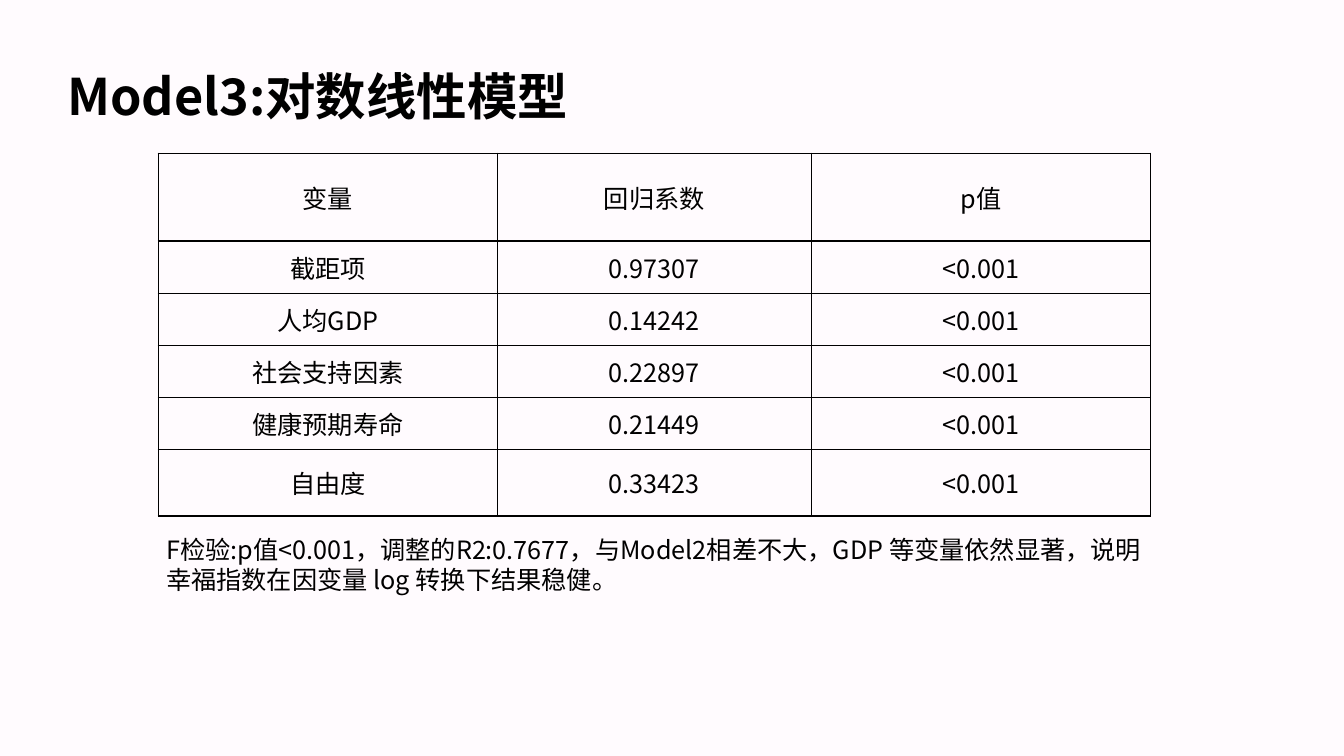
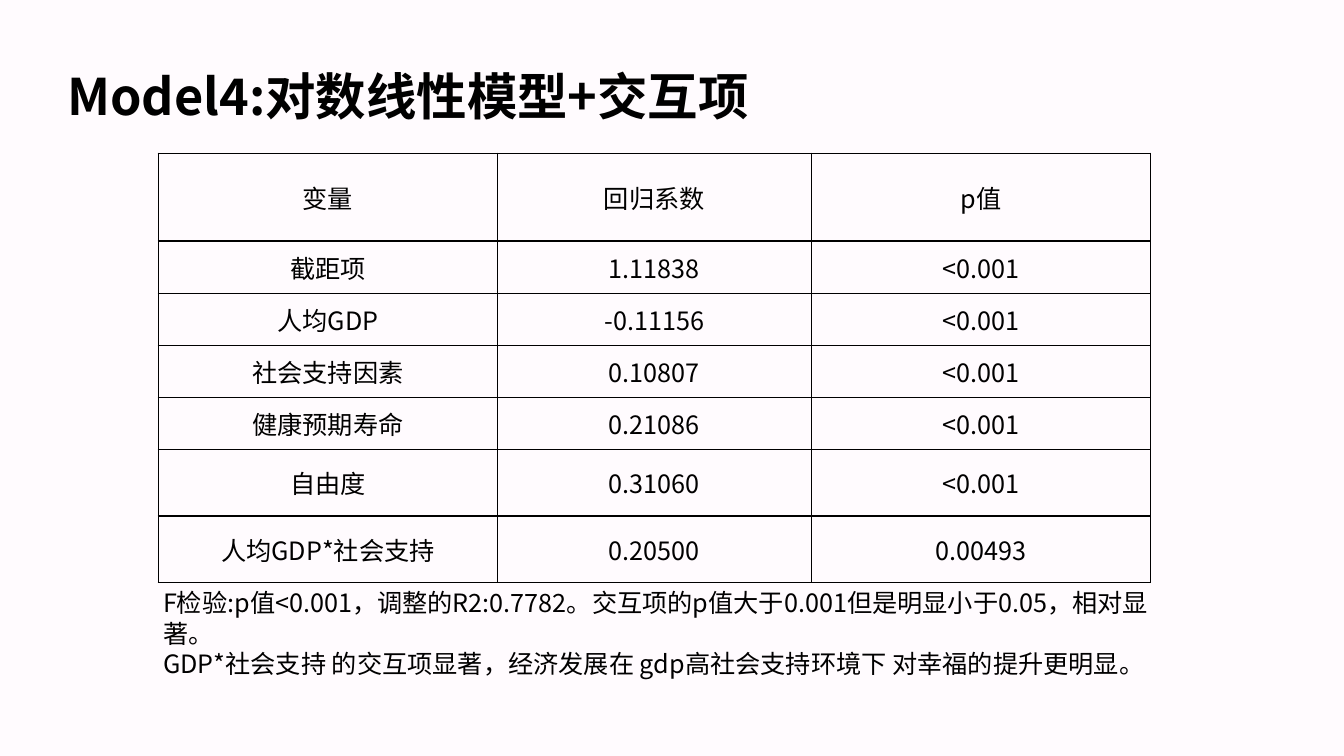
from dataclasses import dataclass

from lxml.etree import SubElement
from pptx import Presentation
from pptx.dml.color import RGBColor as RGB
from pptx.enum.text import MSO_ANCHOR as ANCHOR, PP_ALIGN as ALIGN
from pptx.oxml.ns import qn
from pptx.util import Pt


@dataclass(frozen=True)
class Theme:
    """Colours, type and line sizes shared by all slides."""

    back: RGB = RGB(0xFF, 0xFB, 0xFE)
    ink: RGB = RGB(0, 0, 0)
    font: str = "Noto Sans CJK SC"
    title: float = 36
    body: float = 18
    rule: float = 1
    title_spacing: float = 1.11


T = Theme()
SLIDE_W, SLIDE_H = 960, 540
TITLE_BOX = (48, 42, 864, 48)
TABLE_LEFT, TABLE_TOP = 113, 109.5
COL_WIDTHS = (242.4, 224, 242.4)
HEAD_H, ROW_H, TALL_H = 62.6, 37.3, 47.4
TALL_FROM = 5
HEADER = ("变量", "回归系数", "p值")
VARIABLES = ("截距项", "人均GDP", "社会支持因素", "健康预期寿命", "自由度")
SMALL_P = "<0.001"


def write(tf, text, size=T.body, bold=False, align=ALIGN.LEFT, spacing=None):
    """Fill a text frame, one paragraph per line of text."""
    for i, line in enumerate(text.split("\n")):
        p = tf.paragraphs[0] if i == 0 else tf.add_paragraph()
        p.alignment = align
        if spacing:
            p.line_spacing = spacing
        r = p.add_run()
        r.text = line
        r.font.size, r.font.bold, r.font.name = Pt(size), bold, T.font
        r.font.color.rgb = T.ink
        SubElement(r.font._element, qn("a:ea"), typeface=T.font)


def add_text(slide, box, text, inset=None, **fmt):
    """Add a wrapping text box."""
    tf = slide.shapes.add_textbox(*map(Pt, box)).text_frame
    tf.word_wrap = True
    if inset is not None:
        tf.margin_left = tf.margin_right = Pt(inset)
        tf.margin_top = tf.margin_bottom = Pt(inset)
    write(tf, text, **fmt)


def style_cell(cell):
    """Give a cell thin borders on all sides and no fill."""
    tc_pr = cell._tc.get_or_add_tcPr()
    for side in ("lnL", "lnR", "lnT", "lnB"):
        ln = SubElement(tc_pr, qn(f"a:{side}"), w=str(Pt(T.rule)))
        fill = SubElement(ln, qn("a:solidFill"))
        SubElement(fill, qn("a:srgbClr"), val=str(T.ink))
    cell.fill.background()
    cell.vertical_anchor = ANCHOR.MIDDLE


def add_results(slide, left, top, rows):
    """Add the table of coefficients."""
    heights = [HEAD_H] + [
        TALL_H if i >= TALL_FROM else ROW_H for i in range(1, len(rows))
    ]
    box = (left, top, sum(COL_WIDTHS), sum(heights))
    table = slide.shapes.add_table(
        len(rows), len(COL_WIDTHS), *map(Pt, box)
    ).table
    table.first_row = table.horz_banding = False
    for col, width in zip(table.columns, COL_WIDTHS):
        col.width = Pt(width)
    for row, height, values in zip(table.rows, heights, rows):
        row.height = Pt(height)
        for cell, value in zip(row.cells, values):
            style_cell(cell)
            write(cell.text_frame, value, align=ALIGN.CENTER)


def add_model_slide(prs, title, coefs, note, note_box, extra=()):
    """Add a slide with a title, a table of results and a note."""
    slide = prs.slides.add_slide(prs.slide_layouts[6])
    rows = [HEADER, *((v, c, SMALL_P) for v, c in zip(VARIABLES, coefs)), *extra]
    add_results(slide, TABLE_LEFT, TABLE_TOP, rows)
    add_text(slide, note_box, note)
    add_text(slide, TITLE_BOX, title, inset=0, size=T.title, bold=True,
             spacing=T.title_spacing)


def main():
    """Build and save the presentation."""
    prs = Presentation()
    prs.slide_width, prs.slide_height = Pt(SLIDE_W), Pt(SLIDE_H)
    back = prs.slide_master.background.fill
    back.solid()
    back.fore_color.rgb = T.back
    add_model_slide(
        prs,
        "Model3:对数线性模型",
        ("0.97307", "0.14242", "0.22897", "0.21449", "0.33423"),
        "F检验:p值<0.001，调整的R2:0.7677，与Model2相差不大，GDP 等变量依然显著，"
        "说明幸福指数在因变量 log 转换下结果稳健。",
        (111.6, 378, 715.7, 73.5),
    )
    add_model_slide(
        prs,
        "Model4:对数线性模型+交互项",
        ("1.11838", "-0.11156", "0.10807", "0.21086", "0.31060"),
        "F检验:p值<0.001，调整的R2:0.7782。交互项的p值大于0.001但是明显小于0.05，"
        "相对显著。\n"
        "GDP*社会支持 的交互项显著，经济发展在 gdp高社会支持环境下 对幸福的提升更明显。",
        (109.4, 416.2, 718.6, 113.8),
        extra=[("人均GDP*社会支持", "0.20500", "0.00493")],
    )
    prs.save("out.pptx")


if __name__ == "__main__":
    main()
